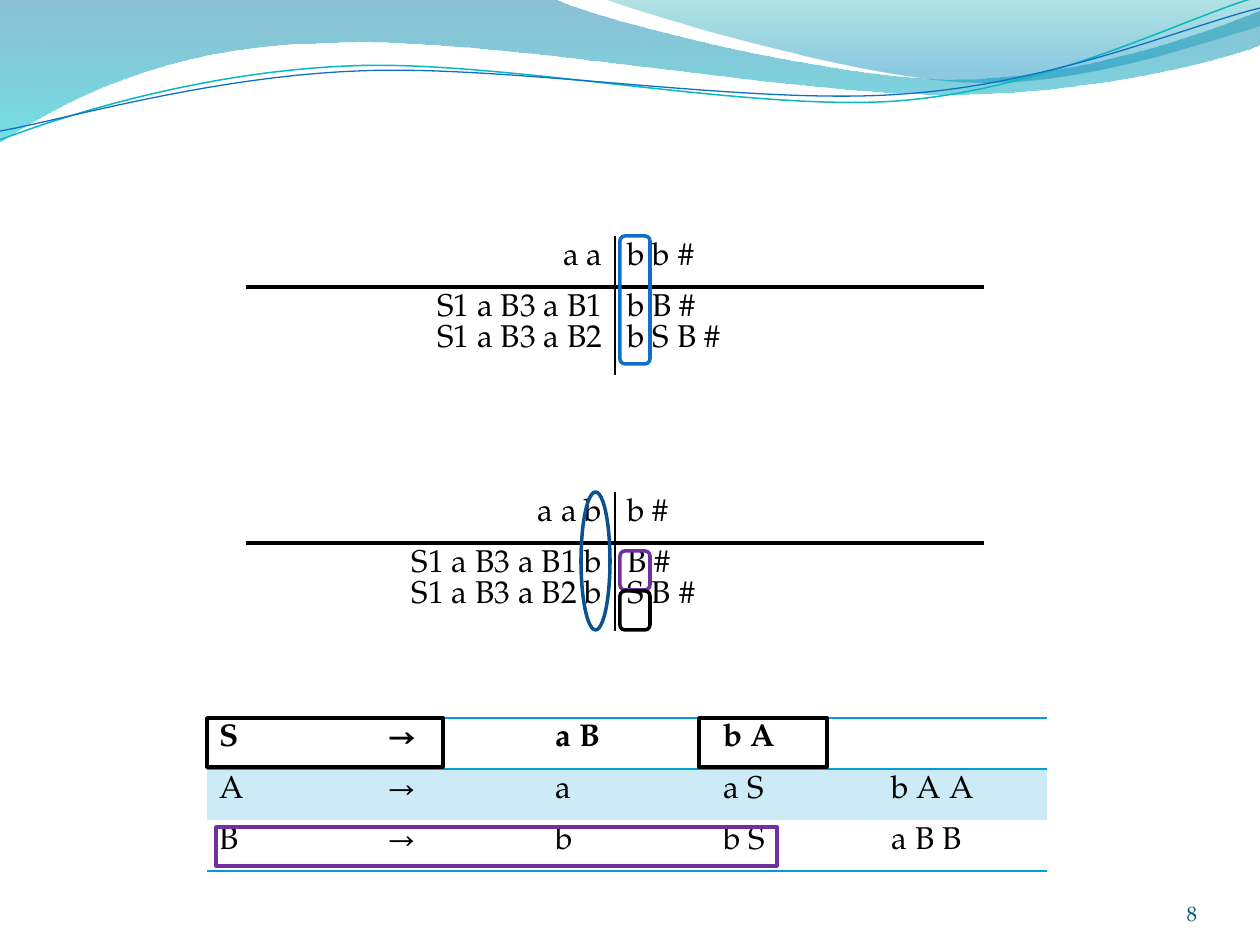
from math import cos, radians, sin

from lxml import etree
from pptx import Presentation
from pptx.dml.color import RGBColor
from pptx.enum.shapes import MSO_SHAPE
from pptx.enum.text import MSO_ANCHOR, PP_ALIGN
from pptx.oxml import parse_xml
from pptx.oxml.ns import nsdecls, qn
from pptx.util import Emu, Pt

EMU_PER_PX = 914400 / 126
FONT = "TeX Gyre Pagella"
NO_STYLE = "{2D5ABB26-0587-4C30-8999-92F81FD0307C}"
LEFT, RIGHT = PP_ALIGN.LEFT, PP_ALIGN.RIGHT
BOTTOM = MSO_ANCHOR.BOTTOM
RECTANGLE, ROUNDED, OVAL = MSO_SHAPE.RECTANGLE, MSO_SHAPE.ROUNDED_RECTANGLE, MSO_SHAPE.OVAL
TILT = 2.7

COLORS = {
    "black": "000000", "blue": "0F6FC6", "navy": "0B5292", "purple": "7030A0",
    "sky": "009DD9", "aqua": "0AB8BF", "number": "045D75",
}

# Each step is one point (straight line) or three points (Bézier curve).
BACK_WAVE = [
    [(0, 0)],
    [(554, -1)],
    [(600, 21), (837, 79), (955, 79)],
    [(1075, 79), (1207, 33), (1260, 11)],
    [(1261, 45)],
    [(1238, 55), (1096, 96), (940, 94)],
    [(784, 94), (481, 35), (324, 43)],
    [(163, 45), (58, 105), (-1, 142)],
    [(0, 0)],
]
FRONT_WAVE = [
    [(604, -1)],
    [(641, 14), (859, 78), (969, 82)],
    [(1079, 87), (1211, 40), (1260, 26)],
    [(1260, 0)],
    [(604, -1)],
]
AQUA_CURVE = [
    [(0, 140)],
    [(60, 117), (199, 72), (349, 66)],
    [(498, 59), (747, 112), (898, 101)],
    [(1050, 89), (1182, 19), (1257, -3)],
]
BLUE_CURVE = [
    [(0, 131)],
    [(59, 121), (207, 77), (357, 71)],
    [(508, 64), (752, 106), (903, 94)],
    [(1053, 84), (1186, 26), (1260, 8)],
]
GRAMMAR = [
    ["S", "→", "a B", "b A", ""],
    ["A", "→", "a", "a S", "b A A"],
    ["B", "→", "b", "b S", "a B B"],
]


def px(*values):
    return [Emu(round(value * EMU_PER_PX)) for value in values]


def rgb(name):
    return RGBColor.from_string(COLORS[name])


def turn(point, center, degrees):
    angle = radians(degrees)
    x, y = point[0] - center[0], point[1] - center[1]
    return (center[0] + x * cos(angle) - y * sin(angle),
            center[1] + x * sin(angle) + y * cos(angle))


def add_outline(slide, steps, closed):
    """Build a freeform, then join the three points of each curve into a Bézier segment."""
    first, *others = [px(*point) for step in steps for point in step]
    builder = slide.shapes.build_freeform(*first)
    builder.add_line_segments(others, close=closed)
    shape = builder.convert_to_shape()
    shape.shadow.inherit = False
    segments = iter(list(shape._element.iter(qn("a:lnTo"))))
    for step in steps[1:]:
        parts = [next(segments) for _ in step]
        if len(parts) == 3:
            curve = etree.Element(qn("a:cubicBezTo"))
            parts[0].addprevious(curve)
            for part in parts:
                curve.append(part[0])
                part.getparent().remove(part)
    return shape


def add_wave(slide, steps, stops):
    """Draw a filled wave; each stop is position, colour and opacity in percent."""
    shape = add_outline(slide, steps, True)
    shape.line.fill.background()
    stops_xml = "".join(
        f'<a:gs pos="{position * 1000}"><a:srgbClr val="{color}">'
        f'<a:alpha val="{opacity * 1000}"/></a:srgbClr></a:gs>'
        for position, color, opacity in stops)
    gradient = parse_xml(
        f'<a:gradFill {nsdecls("a")} rotWithShape="1"><a:gsLst>{stops_xml}</a:gsLst>'
        '<a:lin ang="5400000" scaled="0"/></a:gradFill>')
    shape._element.spPr.find(qn("a:custGeom")).addnext(gradient)


def add_curve(slide, steps, center, color, width):
    """Draw an open curve in a frame tilted around its center."""
    level = [[turn(point, center, TILT) for point in step] for step in steps]
    shape = add_outline(slide, level, False)
    shape.rotation = -TILT
    shape.fill.background()
    shape.line.color.rgb = rgb(color)
    shape.line.width = Pt(width)


def add_run(paragraph, text, size, color="black", bold=False):
    run = paragraph.add_run()
    run.text = text
    run.font.name = FONT
    run.font.size = Pt(size)
    run.font.bold = bold
    run.font.color.rgb = rgb(color)


def add_table(slide, left, top, widths, heights, frame_height):
    shape = slide.shapes.add_table(len(heights), len(widths),
                                   *px(left, top, sum(widths), frame_height))
    table = shape.table
    table.first_row = table.horz_banding = False
    table._tbl.tblPr.find(qn("a:tableStyleId")).text = NO_STYLE
    for column, width in zip(table.columns, widths):
        column.width = px(width)[0]
    for row, height in zip(table.rows, heights):
        row.height = px(height)[0]
    shape.height = px(frame_height)[0]
    return table


def fill_cell(cell, lines, alignment=LEFT, bold=False, borders=()):
    """Write lines into a cell; borders are (side, colour, points) in L, R, T, B order."""
    for index, text in enumerate(lines):
        frame = cell.text_frame
        paragraph = frame.add_paragraph() if index else frame.paragraphs[0]
        paragraph.alignment = alignment
        add_run(paragraph, text, 18, bold=bold)
    properties = cell._tc.get_or_add_tcPr()
    for side, color, width in borders:
        properties.append(parse_xml(
            f'<a:ln{side} {nsdecls("a")} w="{Pt(width)}"><a:solidFill>'
            f'<a:srgbClr val="{COLORS[color]}"/></a:solidFill></a:ln{side}>'))
    cell.fill.background()


def add_parse_table(slide, top, heights, rows):
    """Draw a cross: analysed input on the left, remaining input on the right."""
    table = add_table(slide, 246, top, [369, 369], heights, 139)
    for row, (sides, inner) in enumerate(zip(rows, "BT")):
        for column, (lines, middle) in enumerate(zip(sides, "RL")):
            fill_cell(table.cell(row, column), lines, (RIGHT, LEFT)[column],
                      borders=[(middle, "black", 1), (inner, "black", 3)])


def add_grammar_table(slide):
    table = add_table(slide, 207, 718, [168] * 5, [51] * 3, 153)
    for row, (texts, sides) in enumerate(zip(GRAMMAR, ["TB", "", "B"])):
        for column, text in enumerate(texts):
            cell = table.cell(row, column)
            fill_cell(cell, [text] if text else [], bold=row == 0,
                      borders=[(side, "sky", 1) for side in sides])
            if row == 1:
                cell.fill.solid()
                cell.fill.fore_color.rgb = rgb("sky")
                color = cell._tc.tcPr.find(qn("a:solidFill"))[0]
                etree.SubElement(color, qn("a:alpha"), val="20000")


def add_marker(slide, kind, color, *box):
    shape = slide.shapes.add_shape(kind, *px(*box))
    shape.shadow.inherit = False
    shape.fill.background()
    shape.line.color.rgb = rgb(color)
    shape.line.width = Pt(2)


def add_slide_number(slide):
    frame = slide.shapes.add_textbox(*px(1092, 876, 105, 50)).text_frame
    frame.word_wrap = True
    frame.vertical_anchor = BOTTOM
    frame.margin_left = frame.margin_right = frame.margin_top = frame.margin_bottom = 0
    frame.paragraphs[0].alignment = RIGHT
    add_run(frame.paragraphs[0], "8", 12, "number")


def main():
    presentation = Presentation()
    presentation.slide_width, presentation.slide_height = px(1260, 945)
    slide = presentation.slides.add_slide(presentation.slide_layouts[6])
    add_wave(slide, BACK_WAVE, [(0, "0074A1", 45), (100, "00C6CF", 55)])
    add_wave(slide, FRONT_WAVE, [(0, "00A1A9", 30), (80, "008BBF", 45)])
    add_curve(slide, AQUA_CURVE, (629, 72), "aqua", 0.85)
    add_curve(slide, BLUE_CURVE, (629, 74), "blue", 0.75)
    add_slide_number(slide)
    add_grammar_table(slide)
    add_parse_table(slide, 492, [51, 28], [
        (["a a b"], ["b #"]), (["S1 a B3 a B1 b", "S1 a B3 a B2 b"], ["B #", "S B #"])])
    add_parse_table(slide, 236, [51, 51], [
        (["a a"], ["b b #"]), (["S1 a B3 a B1", "S1 a B3 a B2"], ["b B #", "b S B #"])])
    for marker in [
        (ROUNDED, "blue", 620, 236, 30, 128), (OVAL, "navy", 581, 492, 29, 138),
        (ROUNDED, "purple", 620, 551, 30, 39), (RECTANGLE, "purple", 216, 827, 561, 39),
        (ROUNDED, "black", 620, 591, 30, 39), (RECTANGLE, "black", 207, 718, 236, 49),
        (RECTANGLE, "black", 699, 718, 128, 49),
    ]:
        add_marker(slide, *marker)
    presentation.save("out.pptx")


if __name__ == "__main__":
    main()
